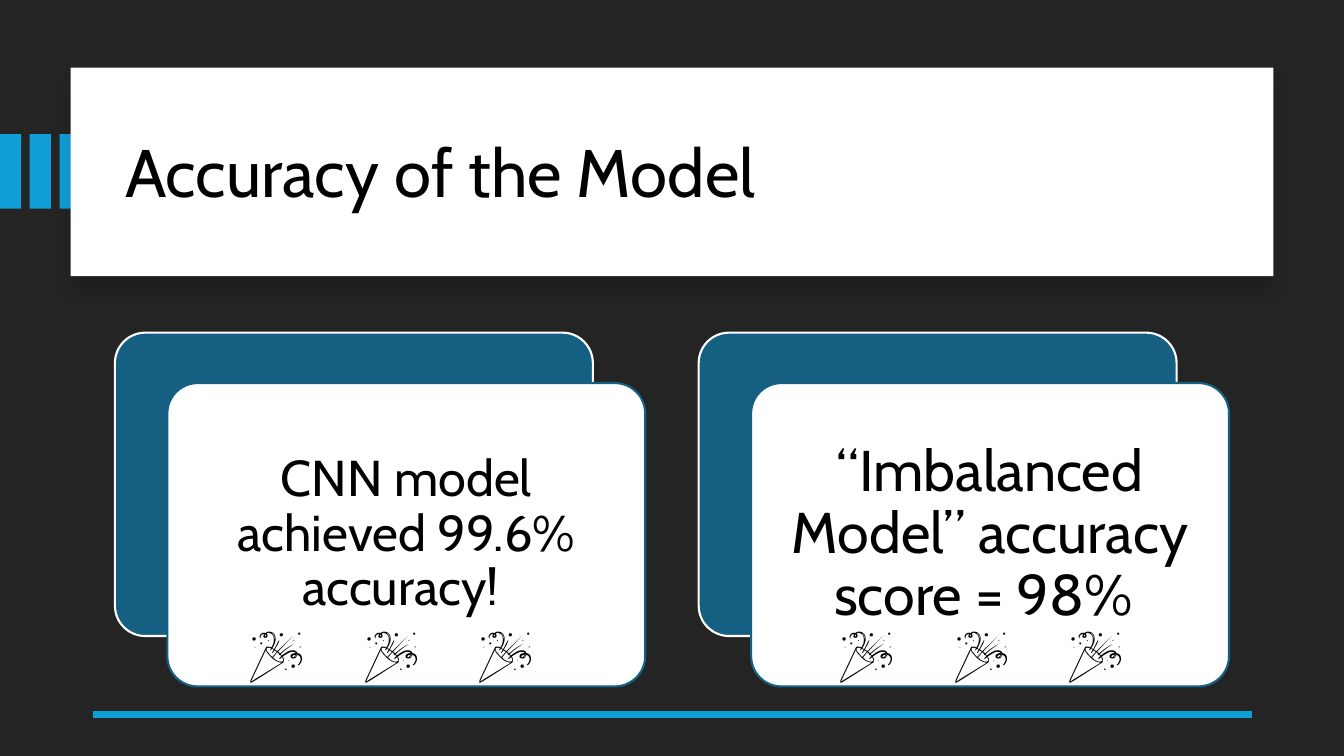
import pptx
import pptx.util
import pptx.dml.color
import pptx.enum.shapes
import pptx.enum.text
import pptx.oxml
import pptx.oxml.ns
import lxml.etree

Inches = pptx.util.Inches
Pt = pptx.util.Pt
MSO_SHAPE = pptx.enum.shapes.MSO_SHAPE
ALIGN = pptx.enum.text.PP_ALIGN
ANCHOR = pptx.enum.text.MSO_ANCHOR

FONT = "Cabin"
BLACK, WHITE, DARK = "000000", "FFFFFF", "242424"
BRIGHT_BLUE, DEEP_BLUE = "0F9ED5", "156082"


def rgb(value):
    return pptx.dml.color.RGBColor.from_string(value)


def write(sp, text, size, color=BLACK, align=ALIGN.LEFT, anchor=ANCHOR.MIDDLE,
          spacing=None, inset=None):
    tf = sp.text_frame
    tf.word_wrap = True
    tf.auto_size = pptx.enum.text.MSO_AUTO_SIZE.NONE
    tf.vertical_anchor = anchor
    if inset is not None:
        tf.margin_left = tf.margin_right = Inches(inset)
        tf.margin_top = tf.margin_bottom = Inches(inset)
    p = tf.paragraphs[0]
    p.alignment = align
    p.line_spacing = spacing
    r = p.add_run()
    r.text = text
    r.font.name = FONT
    r.font.size = Pt(size)
    r.font.color.rgb = rgb(color)


def add_box(s, kind, left, top, width, height, fill, line=None):
    sp = s.shapes.add_shape(kind, Inches(left), Inches(top), Inches(width), Inches(height))
    sp.shadow.inherit = False
    sp.fill.solid()
    sp.fill.fore_color.rgb = rgb(fill)
    if line:
        sp.line.color.rgb = rgb(line)
        sp.line.width = Pt(1.5)
    else:
        sp.line.fill.background()
    return sp


def add_shadow(sp):
    effects = sp._element.spPr.find(pptx.oxml.ns.qn("a:effectLst"))
    effects.append(pptx.oxml.parse_xml(
        f'<a:outerShdw {pptx.oxml.ns.nsdecls("a")} blurRad="{Pt(11)}" dist="{Pt(10)}" '
        f'dir="5400000" algn="t" rotWithShape="0"><a:srgbClr val="{BLACK}">'
        '<a:alpha val="15000"/></a:srgbClr></a:outerShdw>'))


def add_rule(s, left, right, y):
    line = s.shapes.add_connector(pptx.enum.shapes.MSO_CONNECTOR.STRAIGHT,
                                  Inches(right), Inches(y), Inches(left), Inches(y))
    line.line.color.rgb = rgb(BRIGHT_BLUE)
    line.line.width = Pt(4.5)
    lxml.etree.SubElement(line._element.spPr, pptx.oxml.ns.qn("a:effectLst"))


def add_title(s, text):
    add_shadow(add_box(s, MSO_SHAPE.RECTANGLE, 0.7, 0.67, 11.93, 2.07, WHITE))
    title = s.shapes.title
    title.left, title.top = Inches(1.14), Inches(0.89)
    title.width, title.height = Inches(11.13), Inches(1.7)
    s.shapes._spTree.append(title._element)
    write(title, text, 48, spacing=0.9)


def add_card(s, left, text, size):
    for offset, fill, line in ((0, DEEP_BLUE, WHITE), (1, WHITE, DEEP_BLUE)):
        sp = add_box(s, MSO_SHAPE.ROUNDED_RECTANGLE, left + 0.52 * offset,
                     3.3 + 0.5 * offset, 4.74, 3.01, fill, line)
        sp.adjustments[0] = 0.1
    write(sp, text, size, align=ALIGN.CENTER, spacing=0.9, inset=0.17)


def add_poppers(s, left):
    for i in range(3):
        sp = s.shapes.add_textbox(Inches(left + 1.135 * i), Inches(6.08),
                                  Inches(0.89), Inches(1.08))
        write(sp, "🎉", 40, anchor=ANCHOR.TOP)


def main():
    prs = pptx.Presentation()
    prs.slide_width, prs.slide_height = Inches(13.33), Inches(7.5)
    s = prs.slides.add_slide(prs.slide_layouts[5])
    s.background.fill.solid()
    s.background.fill.fore_color.rgb = rgb(DARK)

    for i in range(3):
        add_box(s, MSO_SHAPE.RECTANGLE, 0.295 * i, 1.33, 0.21, 0.74, BRIGHT_BLUE)
    add_title(s, "Accuracy of the Model")
    add_rule(s, 0.92, 12.42, 7.09)
    add_card(s, 1.14, "CNN model achieved 99.6% accuracy! ", 36)
    add_card(s, 6.93, "“Imbalanced Model” accuracy score = 98% ", 41)
    for left in (2.37, 8.22):
        add_poppers(s, left)

    prs.save("out.pptx")


if __name__ == "__main__":
    main()
